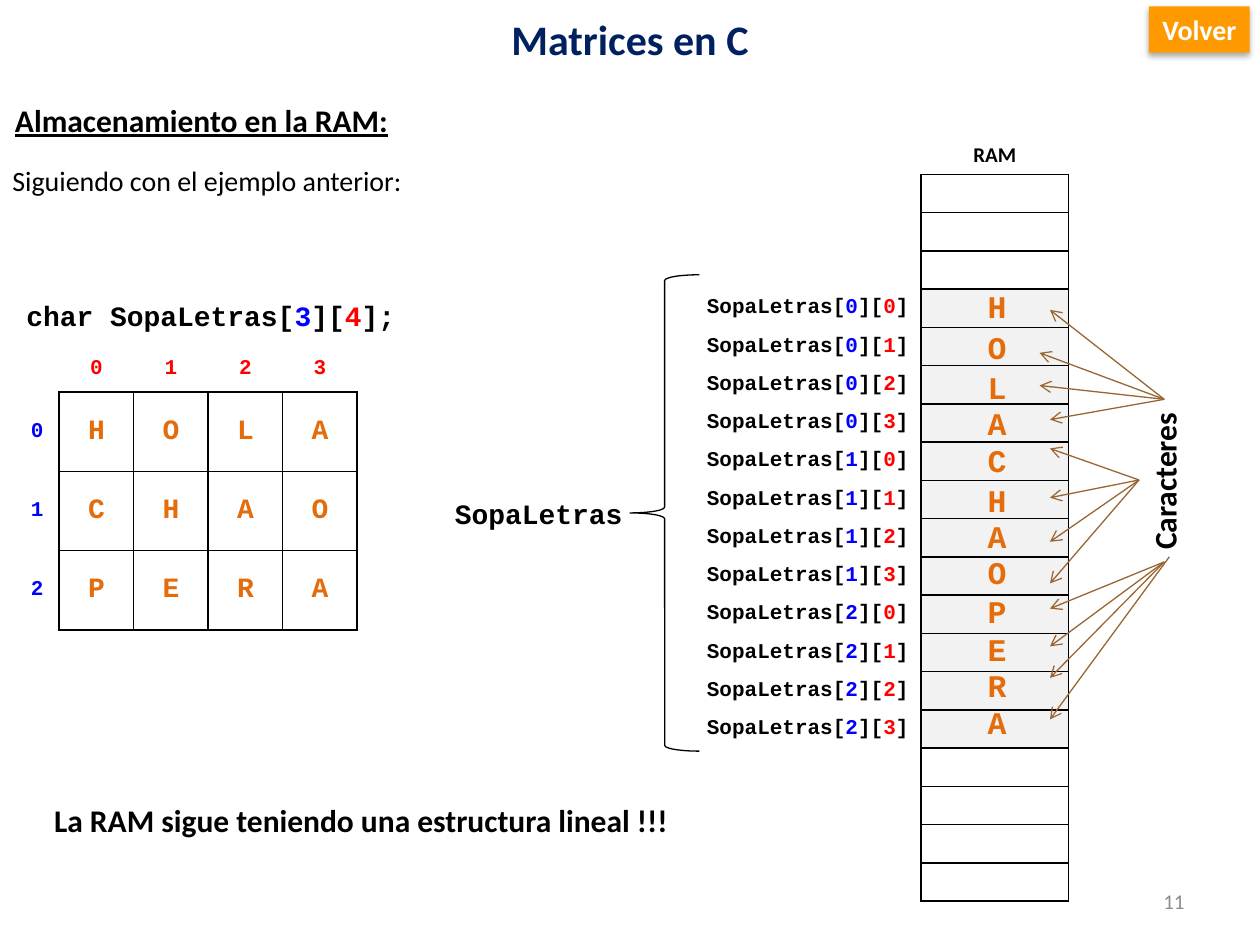
from lxml.etree import SubElement
from pptx import Presentation
from pptx.dml.color import RGBColor
from pptx.enum.shapes import MSO_CONNECTOR, MSO_SHAPE
from pptx.enum.text import MSO_ANCHOR, PP_ALIGN
from pptx.oxml.ns import qn
from pptx.util import Pt

COLORS = {"black": "000000", "white": "FFFFFF", "navy": "002060", "row": "0000FF",
          "column": "FF0000", "letter": "E46C0A", "used": "F2F2F2", "arrow": "996633",
          "button": "FF9900", "number": "8C8C8C"}
SANS, MONO = "Calibri", "Courier New"
LEFT, CENTER, RIGHT = PP_ALIGN.LEFT, PP_ALIGN.CENTER, PP_ALIGN.RIGHT


def rgb(name):
    return RGBColor.from_string(COLORS[name])


class SlideBuilder:
    def __init__(self, page):
        self.page = page

    def add_spans(self, frame, spans, size, font=SANS, bold=True, align=LEFT,
                  underline=None, after=0):
        """Fill a frame with one paragraph of (text, colour) spans."""
        para = frame.paragraphs[0]
        para.alignment = align
        para.space_after = Pt(after)
        for text, color in spans:
            span = para.add_run()
            span.text = text
            span.font.name, span.font.size = font, Pt(size)
            span.font.bold, span.font.underline = bold, underline
            span.font.color.rgb = rgb(color)

    def text(self, left, top, width, height, spans, size, wrap=True,
             anchor=MSO_ANCHOR.TOP, rotation=0, **style):
        box = self.page.shapes.add_textbox(Pt(left), Pt(top), Pt(width), Pt(height))
        box.rotation = rotation
        box.text_frame.word_wrap = wrap
        box.text_frame.vertical_anchor = anchor
        self.add_spans(box.text_frame, spans, size, **style)

    def title(self, left, top, width, height, spans, size):
        title = self.page.shapes.title
        title.left, title.top, title.width, title.height = map(Pt, (left, top, width, height))
        title.text_frame.vertical_anchor = MSO_ANCHOR.MIDDLE
        self.add_spans(title.text_frame, spans, size, align=CENTER)

    def shape(self, kind, left, top, width, height, fill=None, line=None):
        shape = self.page.shapes.add_shape(kind, Pt(left), Pt(top), Pt(width), Pt(height))
        shape.shadow.inherit = False
        if fill:
            shape.fill.solid()
            shape.fill.fore_color.rgb = rgb(fill)
        else:
            shape.fill.background()
        if line:
            shape.line.color.rgb = rgb(line)
            shape.line.width = Pt(0.75)
        else:
            shape.line.fill.background()
        return shape

    def button(self, left, top, width, height, spans, size):
        button = self.shape(MSO_SHAPE.RECTANGLE, left, top, width, height, "button")
        effects = button._element.spPr.find(qn("a:effectLst"))
        shadow = SubElement(effects, qn("a:outerShdw"), blurRad=str(Pt(3.5)),
                            dist=str(Pt(2.2)), dir="5400000", rotWithShape="0")
        tint = SubElement(shadow, qn("a:srgbClr"), val=COLORS["black"])
        SubElement(tint, qn("a:alpha"), val="32000")
        button.text_frame.word_wrap = False
        button.text_frame.vertical_anchor = MSO_ANCHOR.MIDDLE
        self.add_spans(button.text_frame, spans, size, align=CENTER)

    def arrow(self, start, end):
        line = self.page.shapes.add_connector(MSO_CONNECTOR.STRAIGHT, *map(Pt, start + end))
        line.line.color.rgb = rgb("arrow")
        line.line.width = Pt(0.75)
        outline = line._element.spPr.find(qn("a:ln"))
        SubElement(outline, qn("a:tailEnd"), type="arrow")
        SubElement(line._element.spPr, qn("a:effectLst"))

    def table(self, left, top, widths, heights):
        frame = self.page.shapes.add_table(len(heights), len(widths), Pt(left), Pt(top),
                                           Pt(sum(widths)), Pt(sum(heights)))
        table = frame.table
        table.first_row = table.horz_banding = False
        for column, width in zip(table.columns, widths):
            column.width = Pt(width)
        for row, height in zip(table.rows, heights):
            row.height = Pt(height)
        return table

    def cell(self, cell, spans=(), size=12, borders="", fill=None, **style):
        """Style a cell; borders names its black sides out of LRTB."""
        cell.vertical_anchor = MSO_ANCHOR.MIDDLE
        properties = cell._tc.get_or_add_tcPr()
        for side in "LRTB":
            edge = SubElement(properties, qn("a:ln" + side), w=str(Pt(1)))
            if side in borders:
                paint = SubElement(edge, qn("a:solidFill"))
                SubElement(paint, qn("a:srgbClr"), val=COLORS["black"])
            else:
                SubElement(edge, qn("a:noFill"))
        if fill:
            cell.fill.solid()
            cell.fill.fore_color.rgb = rgb(fill)
        else:
            cell.fill.background()
        self.add_spans(cell.text_frame, spans, size, **style)
        if not spans:
            SubElement(cell.text_frame.paragraphs[0]._p, qn("a:endParaRPr"), sz=str(size * 100))


def indexed(start, row, column, end):
    return [(start + "[", "black"), (str(row), "row"), ("][", "black"),
            (str(column), "column"), (end, "black")]


deck = Presentation()
deck.slide_width, deck.slide_height = Pt(720), Pt(540)
slide = SlideBuilder(deck.slides.add_slide(deck.slide_layouts[5]))
words = ["HOLA", "CHAO", "PERA"]
letters = "".join(words)

# Title and headings
slide.title(1.5, 0, 717, 44.6, [("Matrices en C", "navy")], 24)
slide.text(1.5, 54, 562, 29, [("Almacenamiento en la RAM:", "black")], 18,
           underline=True, after=6)
slide.text(0, 90, 240, 26.6, [("Siguiendo con el ejemplo anterior:", "black")], 16,
           wrap=False, bold=False)

# Memory column with the name of each used position
first_used, memory_rows = 4, 20
memory = slide.table(382.3, 77.8, [144, 84.2], [21.86] * memory_rows)
for row in range(memory_rows):
    label, place = memory.cell(row, 0), memory.cell(row, 1)
    position = row - first_used
    used = 0 <= position < len(letters)
    spans = indexed("SopaLetras", *divmod(position, 4), "]") if used else ()
    slide.cell(label, spans, borders="R" if row else "", font=MONO, align=RIGHT)
    if row:
        slide.cell(place, borders="LRTB", fill="used" if used else "white")
    else:
        slide.cell(place, [("RAM", "black")], borders="B", align=CENTER)

# Letters held in memory
letter_tops = [160.6, 183.6, 206.6, 227.5, 248.4, 271.4, 291.6, 312.5, 334.8, 356.4, 377.3, 398.2]
for letter, top in zip(letters, letter_tops):
    slide.text(557.3, top, 22.3, 29, [(letter, "letter")], 18, font=MONO, align=CENTER)

# Brace and array name
slide.shape(MSO_SHAPE.LEFT_BRACE, 360, 157, 39.6, 272.2, line="black")
slide.text(252, 280, 111.6, 26.6, [("SopaLetras", "black")], 16, wrap=False,
           font=MONO, align=CENTER)

# Declaration and matrix
slide.text(8, 167, 250, 26.6, indexed("char SopaLetras", 3, 4, "];"), 16, font=MONO, after=6)
matrix = slide.table(8.6, 198, [25.2] + [42.6] * 4, [26] + [45.3] * 3)
mono = {"font": MONO, "align": CENTER}
slide.cell(matrix.cell(0, 0))
for column in range(4):
    slide.cell(matrix.cell(0, column + 1), [(str(column), "column")], borders="B", **mono)
for row, word in enumerate(words):
    slide.cell(matrix.cell(row + 1, 0), [(str(row), "row")], borders="R", **mono)
    for column, letter in enumerate(word):
        slide.cell(matrix.cell(row + 1, column + 1), [(letter, "letter")], 16,
                   borders="LRTB", **mono)

# Arrows from the rotated caption to the letters
slide.text(618.5, 260, 93.6, 29, [("Caracteres", "black")], 18, wrap=False, rotation=270)
fans = {
    (665.3, 228.2): [(600, 177.1), (594, 201.6), (594, 220.3), (600, 239.8)],
    (650.9, 274.3): [(600, 256.3), (600, 284.4), (600, 309.6), (600, 333.4)],
    (665.3, 321.1): [(600, 347.8), (600, 369.4), (600, 387.4)],
    (668.2, 318.2): [(600, 411.1)],
}
for start, ends in fans.items():
    for end in ends:
        slide.arrow(start, end)

# Conclusion, button and slide number
slide.text(23.8, 454.3, 372.2, 29, [("La RAM sigue teniendo una estructura lineal !!!", "black")], 18)
slide.button(656.6, 3.6, 57.6, 26.6, [("Volver", "white")], 16)
slide.text(516, 500.5, 168, 28.8, [("11", "number")], 12, bold=False, align=RIGHT,
           anchor=MSO_ANCHOR.MIDDLE)

deck.save("out.pptx")
